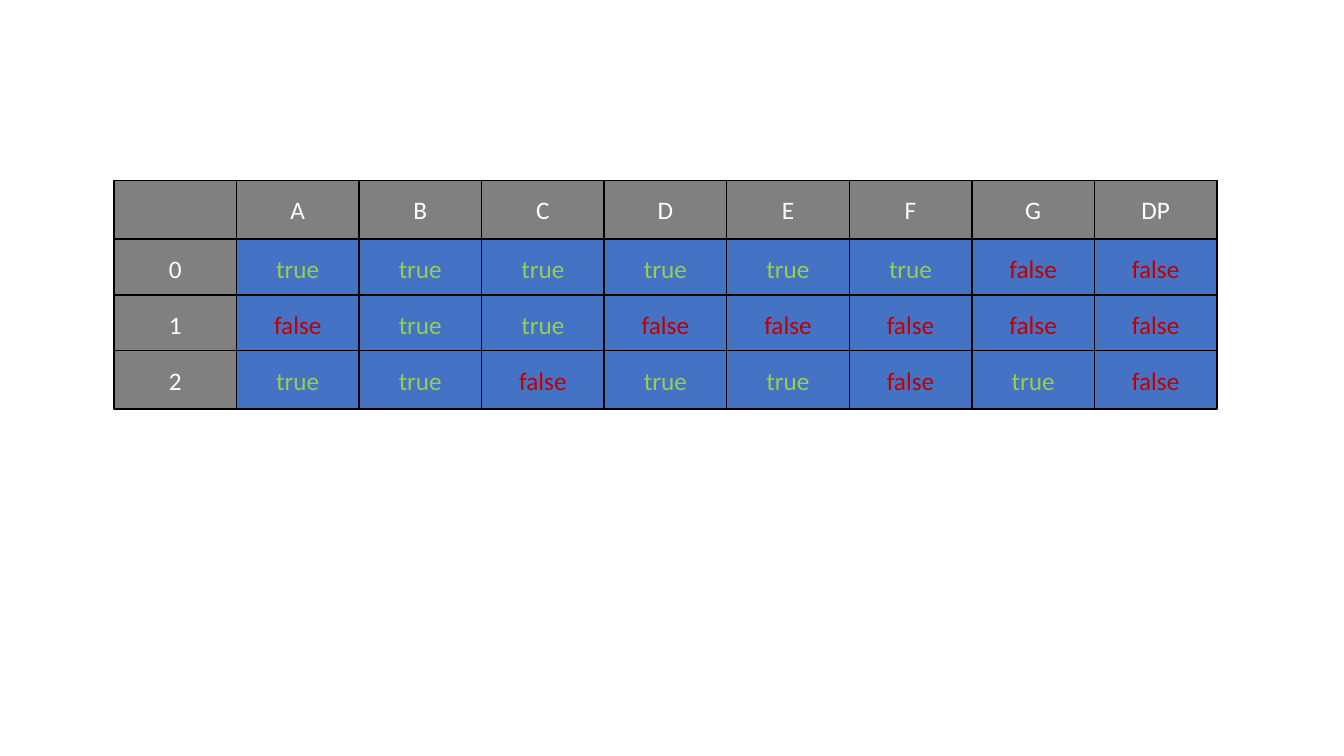
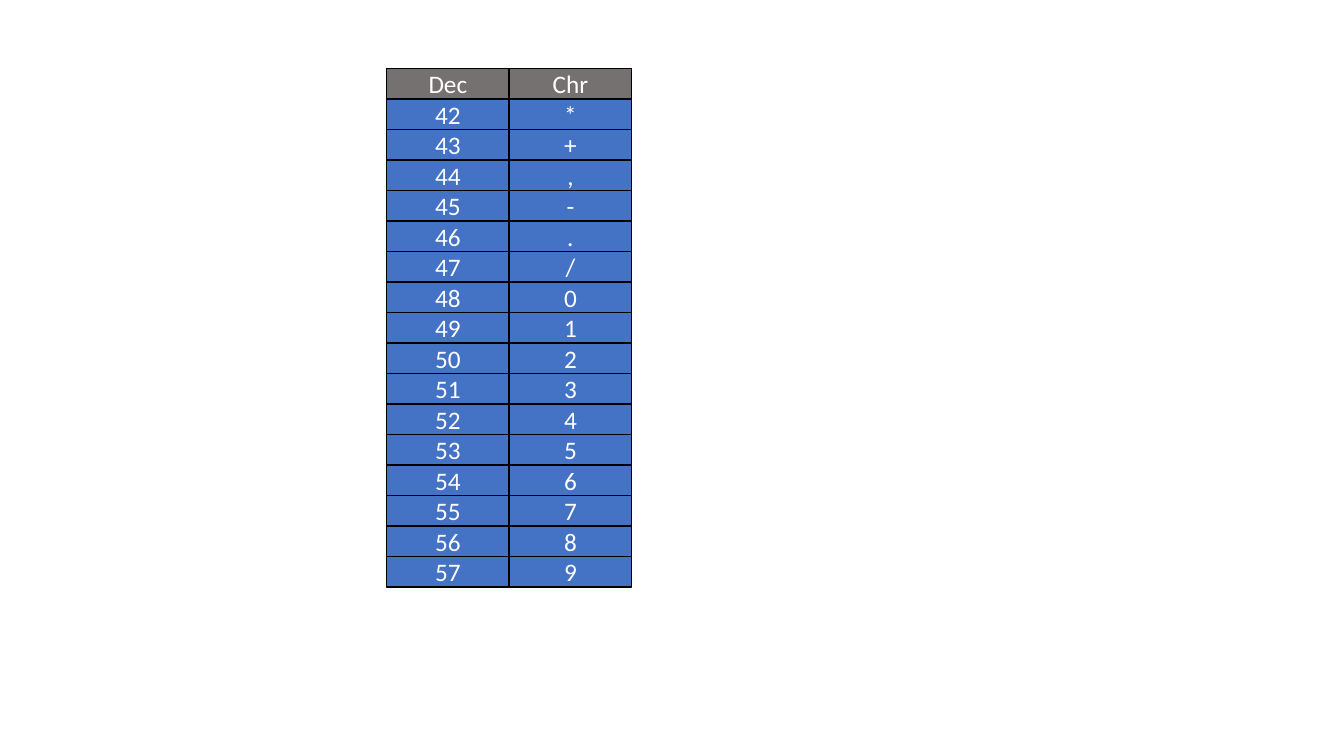
from dataclasses import dataclass

from pptx import Presentation
from pptx.dml.color import RGBColor as Color
from pptx.enum.shapes import MSO_SHAPE as Shape
from pptx.enum.text import MSO_ANCHOR as Anchor, PP_ALIGN as Align
from pptx.util import Inches, Pt


@dataclass(frozen=True)
class Theme:
    font: str = "Calibri"
    size: int = 18
    border: str = "000000"
    border_width: int = 1
    text: str = "FFFFFF"
    body: str = "4472C4"
    grey: str = "808080"
    warm_grey: str = "767171"
    true: str = "92D050"
    false: str = "C00000"


@dataclass(frozen=True)
class Grid:
    """Equal boxes under a header row; body rows start at body_top."""
    left: float
    top: float
    body_top: float
    pitch: float
    height: float
    label_fill: str
    label_columns: int = 0

    def row_top(self, row):
        return self.body_top + (row - 1) * self.pitch if row else self.top

    def is_label(self, row, column):
        return row == 0 or column < self.label_columns


THEME = Theme()
SLIDE_WIDTH, SLIDE_HEIGHT = 13.33, 7.5
COLUMN = 10.94 / 9

TRUTH_ROWS = [
    ["", *"ABCDEFG", "DP"],
    ["0", "true", "true", "true", "true", "true", "true", "false", "false"],
    ["1", "false", "true", "true", "false", "false", "false", "false", "false"],
    ["2", "true", "true", "false", "true", "true", "false", "true", "false"],
]
TRUTH_GRID = Grid(left=1.13, top=1.79, body_top=2.37, pitch=1.11 / 2, height=0.58,
                  label_fill=THEME.grey, label_columns=1)

CODE_ROWS = [["Dec", "Chr"]] + [[str(code), chr(code)] for code in range(42, 58)]
CODE_PITCH = 4.84 / 16
CODE_GRID = Grid(left=5.05 - COLUMN, top=0.68, body_top=0.68 + CODE_PITCH,
                 pitch=CODE_PITCH, height=CODE_PITCH, label_fill=THEME.warm_grey)


def add_box(page, text, left, top, height, fill):
    box = page.shapes.add_shape(Shape.RECTANGLE, Inches(left), Inches(top),
                                Inches(COLUMN), Inches(height))
    box.shadow.inherit = False
    box.fill.solid()
    box.fill.fore_color.rgb = Color.from_string(fill)
    box.line.color.rgb = Color.from_string(THEME.border)
    box.line.width = Pt(THEME.border_width)
    if not text:
        return
    box.text_frame.text = text
    box.text_frame.vertical_anchor = Anchor.MIDDLE
    para = box.text_frame.paragraphs[0]
    para.alignment = Align.CENTER
    color = {"true": THEME.true, "false": THEME.false}.get(text, THEME.text)
    for span in para.runs:
        span.font.name, span.font.size = THEME.font, Pt(THEME.size)
        span.font.color.rgb = Color.from_string(color)


def add_grid(page, rows, grid):
    """Draw the body boxes first, so that the labels lie over them."""
    for labels in (False, True):
        fill = grid.label_fill if labels else THEME.body
        for row, texts in enumerate(rows):
            for column, text in enumerate(texts):
                if grid.is_label(row, column) == labels:
                    add_box(page, text, grid.left + column * COLUMN,
                            grid.row_top(row), grid.height, fill)


def main():
    deck = Presentation()
    deck.slide_width, deck.slide_height = Inches(SLIDE_WIDTH), Inches(SLIDE_HEIGHT)
    for rows, grid in ((TRUTH_ROWS, TRUTH_GRID), (CODE_ROWS, CODE_GRID)):
        page = deck.slides.add_slide(deck.slide_layouts[6])
        add_grid(page, rows, grid)
    deck.save("out.pptx")


if __name__ == "__main__":
    main()
